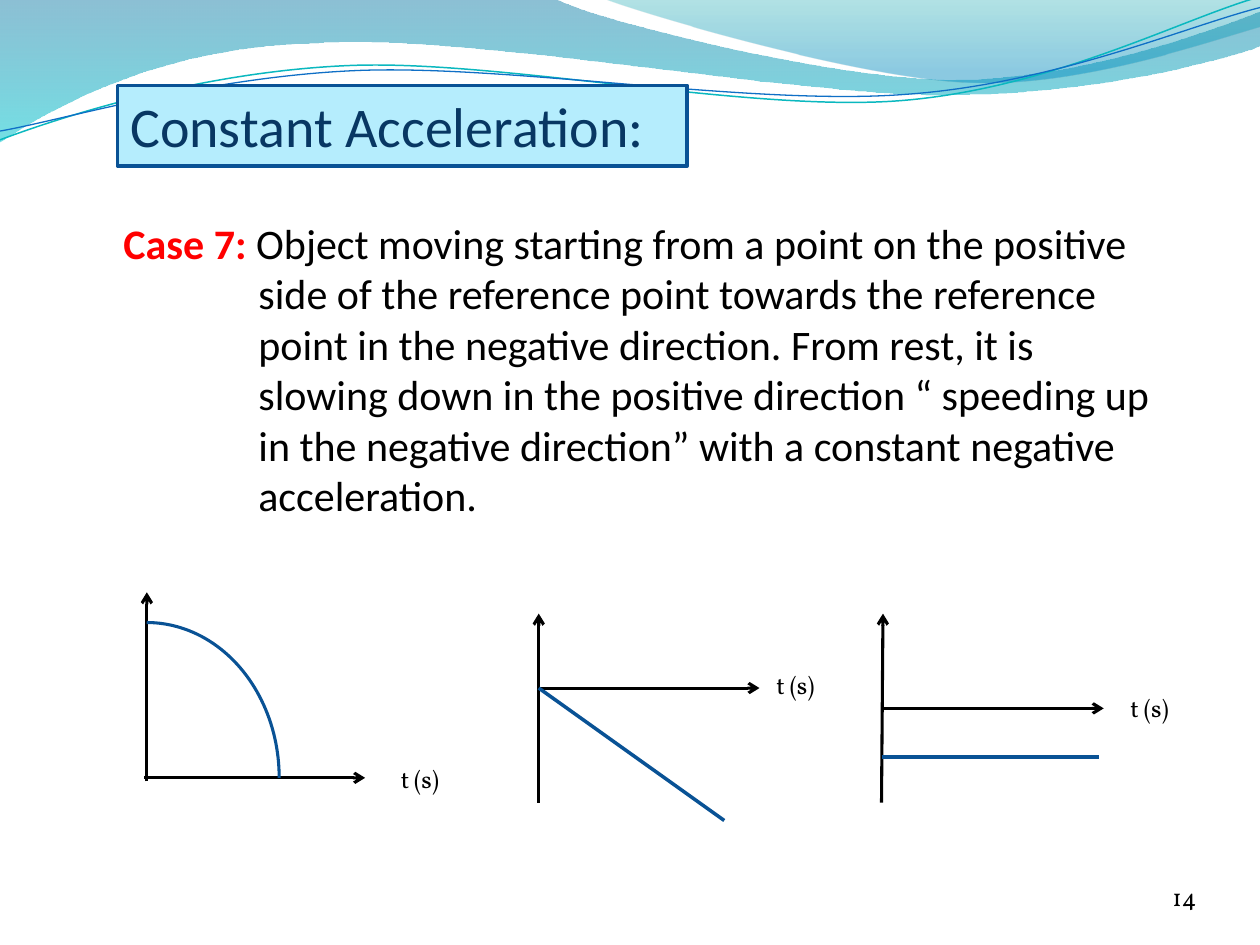
import math
import pptx
import pptx.util
import pptx.dml.color
import pptx.enum.shapes
import pptx.enum.text
import pptx.oxml.ns
from dataclasses import dataclass
from lxml import etree

Cm, Pt = pptx.util.Cm, pptx.util.Pt
RGB = pptx.dml.color.RGBColor.from_string
ALIGN, ANCHOR = pptx.enum.text.PP_ALIGN, pptx.enum.text.MSO_ANCHOR
SHAPE = pptx.enum.shapes.MSO_SHAPE
qn = pptx.oxml.ns.qn


@dataclass(frozen=True)
class Theme:
    sans: str = "Calibri"
    serif: str = "Vollkorn"
    ink: str = "000000"
    accent: str = "FF0000"
    curve: str = "095295"
    title: str = "083763"
    title_fill: str = "B5EDFD"
    title_size: int = 32
    body_size: int = 24
    label_size: int = 14


T = Theme()

# Points of the header waves, in tenths of the header's width; the first
# point starts the outline, three points make a curve, one a straight line.
BANDS = [
    ([[(0, 0)], [(4.4, -0.01)],
      [(4.76, 0.17), (6.64, 0.63), (7.58, 0.63)],
      [(8.53, 0.63), (9.58, 0.26), (10, 0.09)], [(10.01, 0.36)],
      [(9.83, 0.44), (8.7, 0.76), (7.46, 0.75)],
      [(6.22, 0.75), (3.82, 0.28), (2.57, 0.34)],
      [(1.29, 0.36), (0.46, 0.83), (-0.01, 1.13)], [(0, 0)]],
     [(0, "0074A1", 45), (1, "00C6CF", 55)]),
    ([[(4.79, -0.01)], [(5.09, 0.11), (6.82, 0.62), (7.69, 0.65)],
      [(8.56, 0.69), (9.61, 0.32), (10, 0.21)], [(10, 0)], [(4.79, -0.01)]],
     [(0, "00A1A9", 30), (0.8, "008BBF", 45)]),
]
STRANDS = [
    ([[(0, 1.11)], [(0.48, 0.93), (1.58, 0.57), (2.77, 0.52)],
      [(3.95, 0.47), (5.93, 0.89), (7.13, 0.8)],
      [(8.33, 0.71), (9.38, 0.15), (9.98, -0.02)]], "0AB8BF", 0.85),
    ([[(0, 1.04)], [(0.47, 0.96), (1.64, 0.61), (2.83, 0.56)],
      [(4.03, 0.51), (5.97, 0.84), (7.17, 0.75)],
      [(8.36, 0.67), (9.41, 0.21), (10, 0.06)]], "0F6FC6", 0.75),
]
STRAND_TILT = -2.7
STRAND_CENTRE = (4.99, 0.58)


def turn(point, centre, degrees):
    a = math.radians(degrees)
    dx, dy = point[0] - centre[0], point[1] - centre[1]
    return (centre[0] + dx * math.cos(a) - dy * math.sin(a),
            centre[1] + dx * math.sin(a) + dy * math.cos(a))


def set_line(sp, color, width):
    sp.line.color.rgb = RGB(color)
    sp.line.width = Pt(width)


def add_run(p, text, size, font, color, bold=False):
    r = p.add_run()
    r.text = text
    for name, value in dict(size=Pt(size), name=font, bold=bold).items():
        setattr(r.font, name, value)
    r.font.color.rgb = RGB(color)


def add_textbox(s, box, **frame):
    tf = s.shapes.add_textbox(*map(Cm, box)).text_frame
    for name, value in dict(word_wrap=True, **frame).items():
        setattr(tf, name, value)
    return tf.paragraphs[0]


def add_outline(s, segments, left, top, unit, close, tilt=0):
    """Build a freeform, then join the points of each curve into a Bezier."""
    pts = [turn(pt, STRAND_CENTRE, -tilt) for seg in segments for pt in seg]
    pts = [(round(left + x * unit), round(top + y * unit)) for x, y in pts]
    fb = s.shapes.build_freeform(*pts[0])
    fb.add_line_segments(pts[1:], close=close)
    sp = fb.convert_to_shape()
    sp.shadow.inherit = False
    sp.rotation = tilt
    steps = iter(list(sp.element.iter(qn("a:lnTo"))))
    for seg in segments[1:]:
        first, *rest = [next(steps) for _ in seg]
        if rest:
            first.tag = qn("a:cubicBezTo")
            for step in rest:
                first.append(step[0])
                step.getparent().remove(step)
    return sp


def add_header_waves(s, box):
    left, top, width, _ = map(Cm, box)
    unit = width / 10
    for segments, stops in BANDS:
        sp = add_outline(s, segments, left, top, unit, True)
        sp.line.fill.background()
        sp.fill.gradient()
        sp.fill.gradient_angle = 270
        for stop, (position, color, _) in zip(sp.fill.gradient_stops, stops):
            stop.position = position
            stop.color.rgb = RGB(color)
        for clr, (_, _, opacity) in zip(sp.element.spPr.iter(qn("a:srgbClr")), stops):
            etree.SubElement(clr, qn("a:alpha")).set("val", str(opacity * 1000))
    for segments, color, weight in STRANDS:
        sp = add_outline(s, segments, left, top, unit, False, STRAND_TILT)
        sp.fill.background()
        set_line(sp, color, weight)


def add_title(s, box):
    sp = s.shapes.title
    sp.element.getparent().append(sp.element)  # in front of the waves
    for name, value in zip(("left", "top", "width", "height"), box):
        setattr(sp, name, Cm(value))
    sp.fill.solid()
    sp.fill.fore_color.rgb = RGB(T.title_fill)
    set_line(sp, T.curve, 2)
    tf = sp.text_frame
    tf.auto_size = pptx.enum.text.MSO_AUTO_SIZE.NONE
    tf.vertical_anchor = ANCHOR.TOP
    p = tf.paragraphs[0]
    p.alignment = ALIGN.LEFT
    add_run(p, "Constant Acceleration:", T.title_size, T.sans, T.title)


def add_case(s, box, hang=2.72):
    p = add_textbox(s, box)
    pPr = p._p.get_or_add_pPr()
    pPr.set("marL", str(Cm(hang)))
    pPr.set("indent", str(-Cm(hang)))
    add_run(p, "Case 7: ", T.body_size, T.sans, T.accent, True)
    add_run(p, "Object moving starting from a point on the positive side of the "
               "reference point towards the reference point in the negative direction. "
               "From rest, it is slowing down in the positive direction “ speeding up in "
               "the negative direction” with a constant negative acceleration.",
            T.body_size, T.sans, T.ink)


def add_segment(s, start, end, color, width, arrow=False):
    ln = s.shapes.add_connector(pptx.enum.shapes.MSO_CONNECTOR.STRAIGHT,
                                *map(Cm, (*start, *end)))
    set_line(ln, color, width)
    if arrow:
        etree.SubElement(ln.line._get_or_add_ln(), qn("a:tailEnd")).set("type", "arrow")
    etree.SubElement(ln.element.spPr, qn("a:effectLst"))


def add_graph(s, box, zero, label, line=None, arc=None, lead=0, lean=0):
    """Draw axes in box, the time axis zero below its top.

    label, the ends of line and the radii of arc are measured from the origin;
    the time axis starts lead before it and the upright one leans by lean.
    """
    left, top, width, height = box
    y = top + zero
    add_segment(s, (left - lead, y), (left - lead + width, y), T.ink, 1.75, True)
    add_segment(s, (left - lean, top + height), (left, top), T.ink, 1.75, True)
    p = add_textbox(s, (left + label[0], y + label[1], 1.7, 0.86))
    add_run(p, "t (s)", T.label_size, T.serif, T.ink)
    if line:
        add_segment(s, *((left + dx, y + dy) for dx, dy in line), T.curve, 2)
    if arc:
        rx, ry = arc
        sp = s.shapes.add_shape(SHAPE.ARC, *map(Cm, (left - rx, y - ry, 2 * rx, 2 * ry)))
        sp.shadow.inherit = False
        sp.fill.background()
        set_line(sp, T.curve, 1.75)


def add_slide_number(s, box):
    p = add_textbox(s, box, vertical_anchor=ANCHOR.BOTTOM, margin_left=0,
                    margin_top=0, margin_right=0, margin_bottom=0)
    p.alignment = ALIGN.RIGHT
    add_run(p, "14", T.label_size, T.serif, T.ink)


def main():
    prs = pptx.Presentation()
    prs.slide_width, prs.slide_height = Cm(25.4), Cm(19.05)
    s = prs.slides.add_slide(prs.slide_layouts.get_by_name("Title Only"))
    add_header_waves(s, (0, 0, 25.4, 2.87))
    add_title(s, (2.37, 1.72, 11.48, 1.63))
    add_case(s, (2.24, 4.26, 21.46, 6.4))
    size = (4.45, 3.81)
    add_graph(s, (2.96, 11.94, *size), 3.74, (4.87, -0.41), arc=(2.67, 3.13), lead=0.05)
    add_graph(s, (10.86, 12.37, *size), 1.5, (4.54, -0.48), line=((0, 0), (3.74, 2.67)))
    add_graph(s, (17.8, 12.37, *size), 1.91, (4.74, -0.43),
              line=((-0.03, 0.98), (4.35, 0.98)), lean=0.03)
    add_slide_number(s, (22.01, 17.35, 2.11, 1.02))
    prs.save("out.pptx")


if __name__ == "__main__":
    main()
